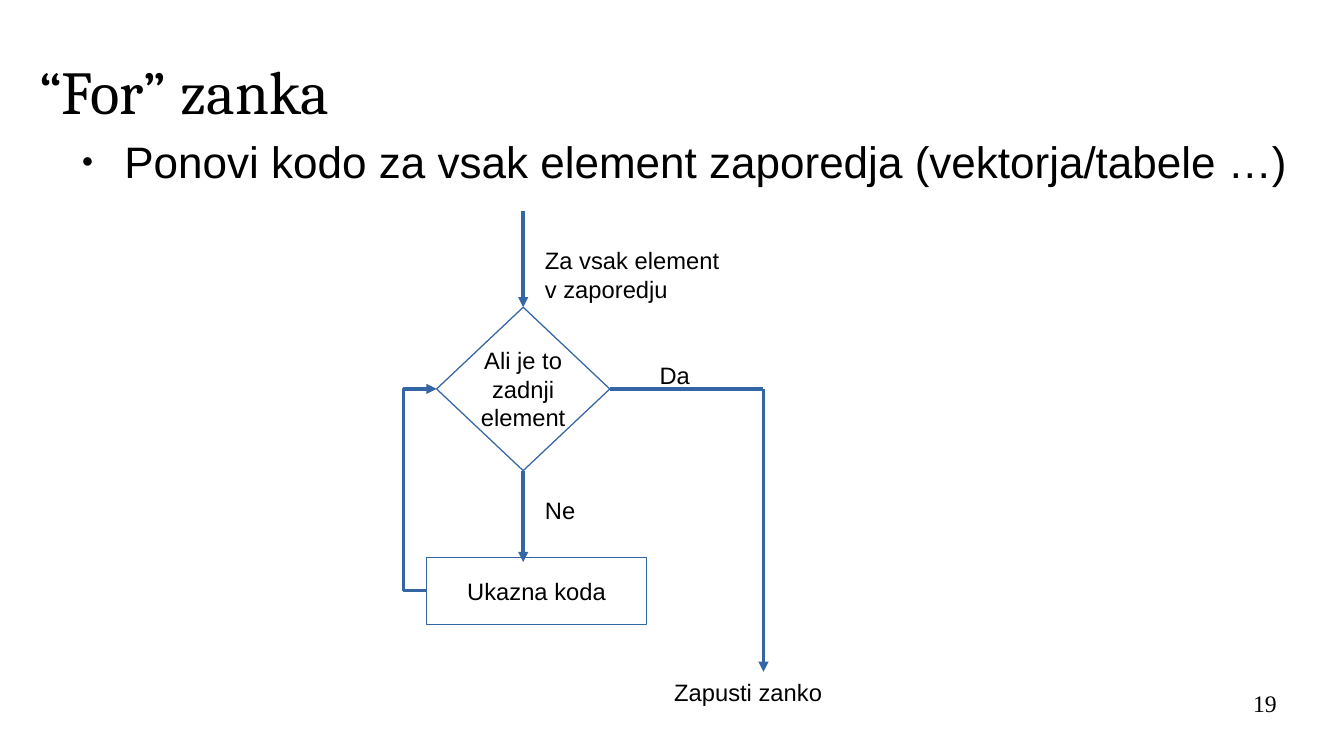
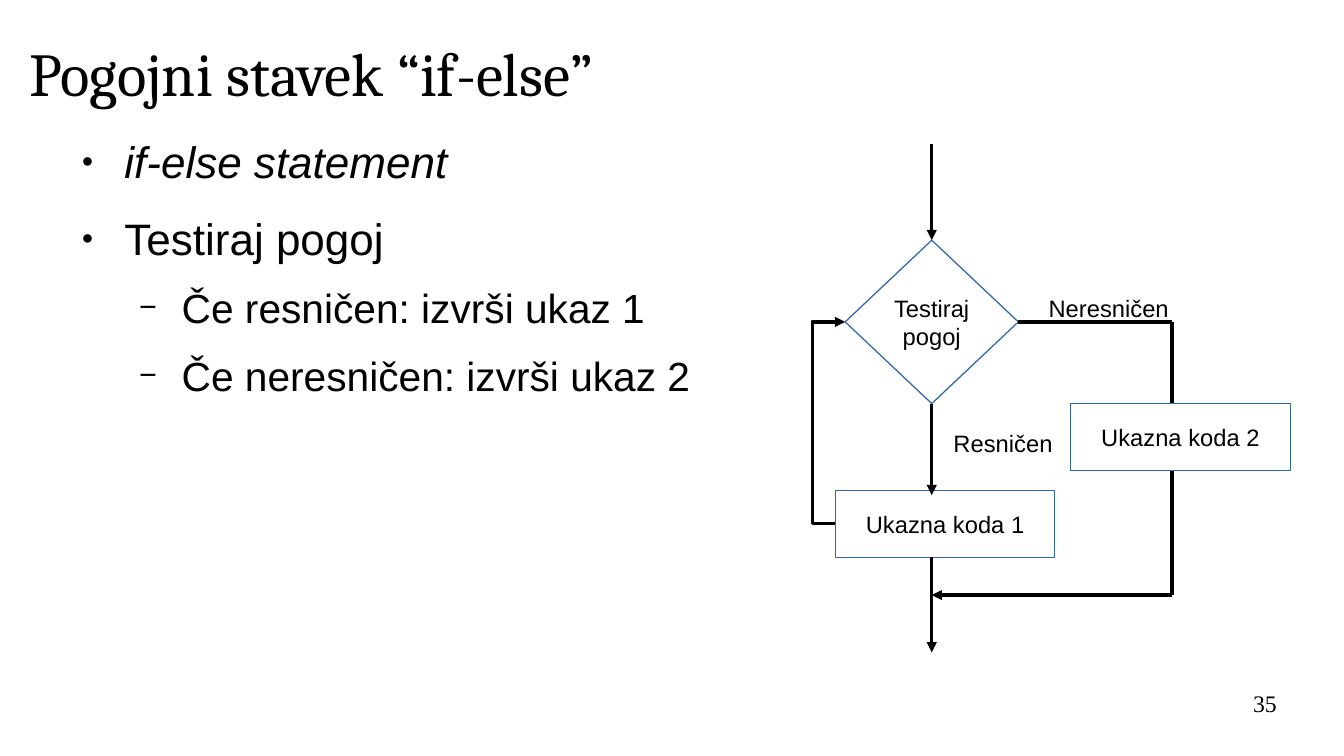
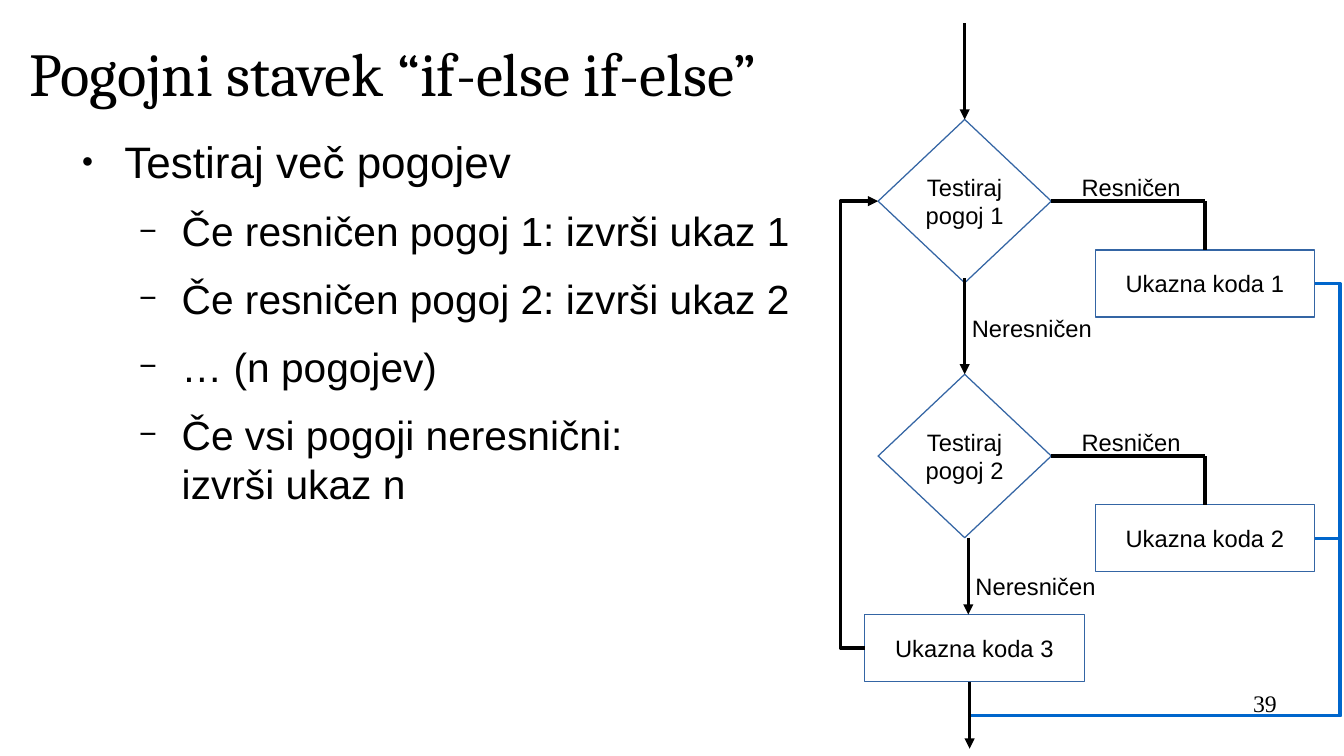
import pptx
import pptx.util
import pptx.dml.color
import pptx.enum.shapes
import pptx.enum.text
import pptx.oxml.ns
import lxml.etree

Inches = pptx.util.Inches
Pt = pptx.util.Pt
RGBColor = pptx.dml.color.RGBColor
Shape = pptx.enum.shapes.MSO_SHAPE
Connector = pptx.enum.shapes.MSO_CONNECTOR
Align = pptx.enum.text.PP_ALIGN
Anchor = pptx.enum.text.MSO_ANCHOR
qn = pptx.oxml.ns.qn

BLACK = RGBColor(0x00, 0x00, 0x00)
WHITE = RGBColor(0xFF, 0xFF, 0xFF)
BLUE = RGBColor(0x34, 0x65, 0xA4)
EXIT_BLUE = RGBColor(0x00, 0x66, 0xCC)

# Sizes of flowchart parts, in inches
DIAMOND_W, DIAMOND_H = 1.42, 1.34
BOX_W, BOX_H = 1.8, 0.55
MID_X, MID_Y = DIAMOND_W / 2, DIAMOND_H / 2
CORNER_X = 2.68  # where the side branch turns down
ARROW = 0.79
TOP, LEFT, BOTTOM, RIGHT = range(4)  # connection sites

# Bullet levels: character, size in percent, indent, text size, space before
LEVELS = [("●", 45, 0.47, 26, 14.2), ("−", 75, 0.94, 24, 11.3)]


# ---- Text ----
def style(para, size, font="Arial", align=Align.LEFT):
    para.alignment = align
    para.font.size = Pt(size)
    para.font.name = font
    para.font.color.rgb = BLACK


def prepare_frame(frame, anchor=Anchor.TOP):
    frame.margin_left = frame.margin_right = 0
    frame.margin_top = frame.margin_bottom = 0
    frame.word_wrap = True
    frame.auto_size = pptx.enum.text.MSO_AUTO_SIZE.NONE
    frame.vertical_anchor = anchor


def place(shape, left, top, width, height):
    shape.left, shape.top = Inches(left), Inches(top)
    shape.width, shape.height = Inches(width), Inches(height)


def add_bullet(para, char, percent, indent):
    props = para._p.get_or_add_pPr()
    props.set("marL", str(Inches(indent)))
    props.set("indent", str(Inches(-0.35)))
    color = lxml.etree.SubElement(props, qn("a:buClr"))
    lxml.etree.SubElement(color, qn("a:srgbClr"), val=str(BLACK))
    lxml.etree.SubElement(props, qn("a:buSzPct"), val=str(percent * 1000))
    lxml.etree.SubElement(props, qn("a:buFont"), typeface="Arial")
    lxml.etree.SubElement(props, qn("a:buChar"), char=char)


def fill_body(body, items):
    """Items are (level, text) or (level, text, italic)."""
    place(body, 0.55, 1.1, 10.39, 4.41)
    frame = body.text_frame
    prepare_frame(frame)
    for index, (level, text, *italic) in enumerate(items):
        para = frame.add_paragraph() if index else frame.paragraphs[0]
        char, percent, indent, size, before = LEVELS[level]
        para.text = text
        para.level = level
        add_bullet(para, char, percent, indent)
        para.space_before = Pt(before if index else 0)
        style(para, size)
        if italic:
            para.font.italic = True


def add_page(deck, title, title_box, items, number):
    page = deck.slides.add_slide(deck.slide_layouts[1])
    heading, body = page.placeholders
    place(heading, *title_box)
    prepare_frame(heading.text_frame, Anchor.MIDDLE)
    heading.text_frame.text = title
    style(heading.text_frame.paragraphs[0], 36, "Cambria")
    fill_body(body, items)

    # Page number
    box = page.shapes.add_textbox(Inches(7.9), Inches(5.65), Inches(2.57), Inches(0.43))
    prepare_frame(box.text_frame)
    box.text_frame.text = number
    style(box.text_frame.paragraphs[0], 14, "Times New Roman", Align.RIGHT)
    return page


# ---- Flowchart parts ----
def add_label(page, left, top, text):
    box = page.shapes.add_textbox(Inches(left), Inches(top), Inches(1.9), Inches(0.32))
    box.text_frame.word_wrap = True
    para = box.text_frame.paragraphs[0]
    para.text = text
    style(para, 14)


def add_node(page, kind, left, top, width, height, text):
    node = page.shapes.add_shape(kind, Inches(left), Inches(top), Inches(width), Inches(height))
    node.shadow.inherit = False
    node.fill.solid()
    node.fill.fore_color.rgb = WHITE
    node.line.color.rgb = BLUE
    node.line.width = 0
    node.text_frame.word_wrap = False
    node.text_frame.vertical_anchor = Anchor.MIDDLE
    para = node.text_frame.paragraphs[0]
    para.text = text
    style(para, 14, align=Align.CENTER)
    return node


def add_box(page, left, top, text):
    return add_node(page, Shape.RECTANGLE, left, top, BOX_W, BOX_H, text)


def add_line(page, start, end, color=BLACK, head=False, via_x=None, begin=None, finish=None):
    """Straight line, or an elbow through via_x; begin and finish are (node, site)."""
    kind = Connector.STRAIGHT if via_x is None else Connector.ELBOW
    points = [Inches(length) for length in (*start, *end)]
    line = page.shapes.add_connector(kind, *points)
    if begin:
        line.begin_connect(*begin)
    if finish:
        line.end_connect(*finish)
    line.line.color.rgb = color
    line.line.width = 0
    props = line._element.spPr
    if head:
        lxml.etree.SubElement(props.find(qn("a:ln")), qn("a:tailEnd"), type="triangle")
    lxml.etree.SubElement(props, qn("a:effectLst"))
    if via_x is not None:
        bend = round((via_x - start[0]) / (end[0] - start[0]) * 100000)
        guides = props.find(qn("a:prstGeom")).find(qn("a:avLst"))
        lxml.etree.SubElement(guides, qn("a:gd"), name="adj1", fmla=f"val {bend}")


def add_decision(page, left, top, test, answer, answer_x, color):
    """Diamond with an arrow into its top and a branch to the right."""
    diamond = add_node(page, Shape.DIAMOND, left, top, DIAMOND_W, DIAMOND_H, test)
    center, middle = left + MID_X, top + MID_Y
    add_line(page, (center, top - ARROW), (center, top), color, True, finish=(diamond, TOP))
    add_line(page, (left + DIAMOND_W, middle), (left + CORNER_X, middle), color,
             begin=(diamond, RIGHT))
    add_label(page, left + answer_x, top + 0.39, answer)
    return diamond


def add_loop(page, left, top, test, side, side_x, down, command, color):
    """Decision whose downward answer runs a command and returns."""
    diamond = add_decision(page, left, top, test, side, side_x, color)
    box_left, box_top = left - 0.08, top + 2.05
    add_box(page, box_left, box_top, command)
    center = left + MID_X
    add_line(page, (center, top + DIAMOND_H), (center, box_top + 0.04), color, True,
             begin=(diamond, BOTTOM))
    add_label(page, left + 0.79, top + 1.5, down)
    add_line(page, (box_left, box_top + BOX_H / 2), (left, top + MID_Y), color, True,
             via_x=left - 0.27)


# ---- Flowcharts ----
def add_for_chart(page, left, top):
    add_loop(page, left, top, "Ali je to\nzadnji\nelement", "Da", 1.73, "Ne",
             "Ukazna koda", BLUE)
    add_label(page, left + 0.79, top - 0.55, "Za vsak element\nv zaporedju")
    corner = left + CORNER_X
    add_line(page, (corner, top + MID_Y), (corner, top + 2.99), BLUE, True)
    add_label(page, left + 1.85, top + 2.99, "Zapusti zanko")


def add_if_else_chart(page, left, top):
    add_loop(page, left, top, "Testiraj\npogoj", "Neresničen", 1.57, "Resničen",
             "Ukazna koda 1", BLACK)
    center, corner, merge = left + MID_X, left + CORNER_X, top + 2.91
    add_line(page, (corner, top + MID_Y), (corner, merge))
    add_box(page, left + 1.85, top + DIAMOND_H, "Ukazna koda 2")
    add_line(page, (corner, merge), (center, merge), head=True)
    add_line(page, (center, top + 2.6), (center, top + 3.38), head=True)


def add_else_if_chart(page, left, top):
    step = 2.09
    center, corner = left + MID_X, left + CORNER_X
    exit_x, exit_y = left + 0.75, top + 4.89
    box_left, box_top = left - 0.11, top + 4.06

    # Two tests, each with its own command
    for index in range(2):
        test_top = top + index * step
        diamond = add_decision(page, left, test_top, f"Testiraj\npogoj {index + 1}",
                               "Resničen", 1.57, BLACK)
        command_left, command_top = corner - BOX_W / 2, test_top + 1.07
        command = add_box(page, command_left, command_top, f"Ukazna koda {index + 1}")
        add_line(page, (corner, test_top + MID_Y), (corner, command_top),
                 finish=(command, TOP))
        add_line(page, (command_left + BOX_W, command_top + BOX_H / 2), (exit_x, exit_y),
                 EXIT_BLUE, via_x=left + 3.79)
        add_label(page, left + 0.67 + index * 0.03, test_top + 1.54 + index * 0.03,
                  "Neresničen")

    # Last command, return and exit
    add_box(page, box_left, box_top, "Ukazna koda 3")
    add_line(page, (center + 0.03, top + step + DIAMOND_H), (center + 0.03, box_top), head=True)
    add_line(page, (box_left, box_top + BOX_H / 2), (left, top + MID_Y), head=True,
             via_x=left - 0.31)
    add_line(page, (exit_x, box_top + BOX_H), (exit_x, top + 5.16), head=True)


def main():
    deck = pptx.Presentation()
    deck.slide_width, deck.slide_height = Inches(11.02), Inches(6.2)
    high_title = (0.24, 0.15, 9.92, 0.88)

    page = add_page(deck, "“For” zanka", (0.32, 0.22, 9.92, 1.04), [
        (0, "Ponovi kodo za vsak element zaporedja (vektorja/tabele …)"),
    ], "19")
    add_for_chart(page, 3.58, 2.52)

    page = add_page(deck, "Pogojni stavek “if-else”", high_title, [
        (0, "if-else statement", True),
        (0, "Testiraj pogoj"),
        (1, "Če resničen: izvrši ukaz 1"),
        (1, "Če neresničen: izvrši ukaz 2"),
    ], "35")
    add_if_else_chart(page, 6.93, 1.97)

    page = add_page(deck, "Pogojni stavek “if-else if-else”", high_title, [
        (0, "Testiraj več pogojev"),
        (1, "Če resničen pogoj 1: izvrši ukaz 1"),
        (1, "Če resničen pogoj 2: izvrši ukaz 2"),
        (1, "… (n pogojev)"),
        (1, "Če vsi pogoji neresnični:\nizvrši ukaz n"),
    ], "39")
    add_else_if_chart(page, 7.2, 0.98)

    deck.save("out.pptx")


if __name__ == "__main__":
    main()
